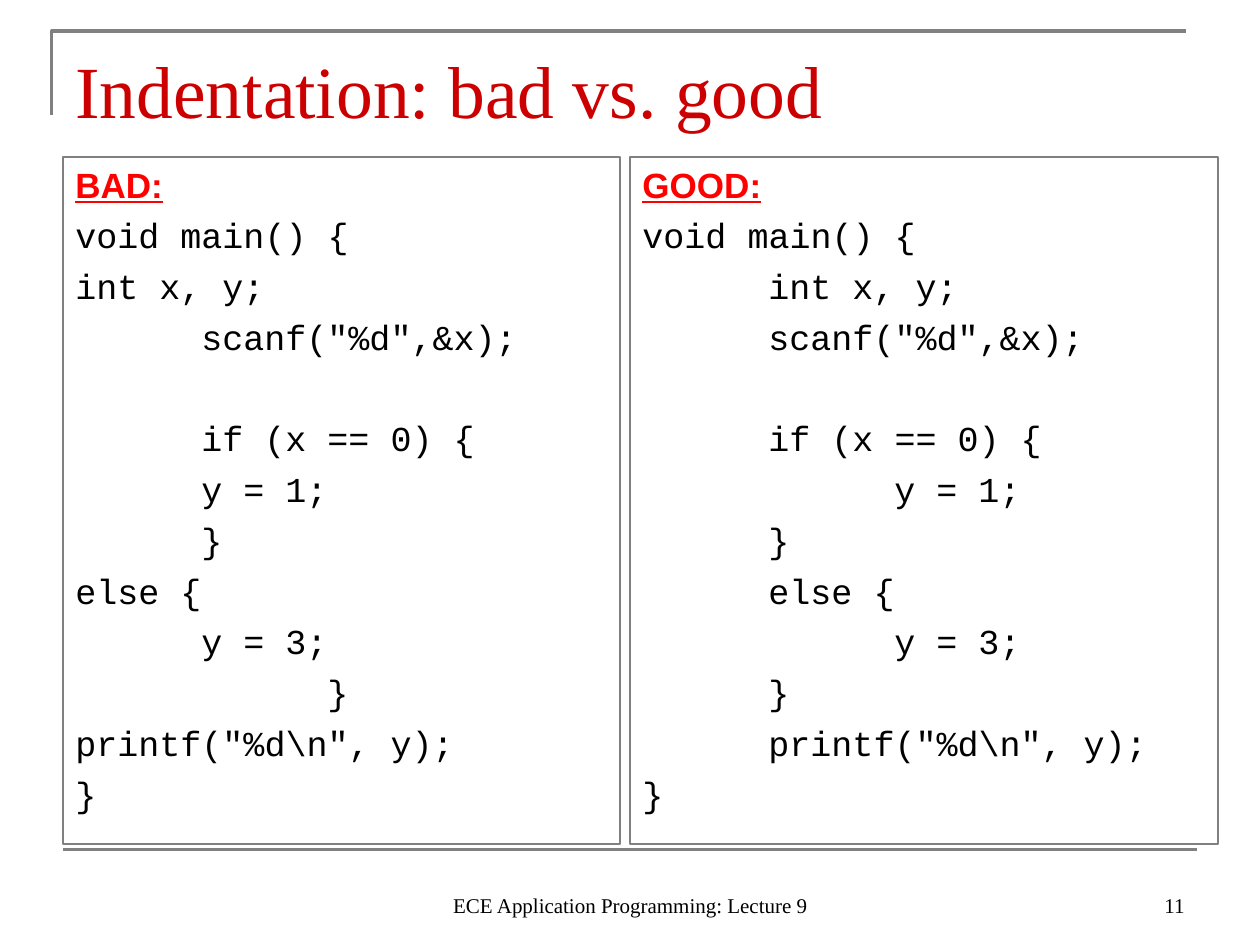
from dataclasses import dataclass

from lxml import etree
from pptx import Presentation
from pptx.dml.color import RGBColor
from pptx.enum.shapes import MSO_CONNECTOR, MSO_SHAPE
from pptx.enum.text import MSO_ANCHOR, PP_ALIGN
from pptx.oxml.ns import qn
from pptx.util import Emu, Pt

LEFT, CENTER, RIGHT = PP_ALIGN.LEFT, PP_ALIGN.CENTER, PP_ALIGN.RIGHT
TOP, BOTTOM = MSO_ANCHOR.TOP, MSO_ANCHOR.BOTTOM
RECTANGLE, STRAIGHT = MSO_SHAPE.RECTANGLE, MSO_CONNECTOR.STRAIGHT

GRAY = RGBColor(0x80, 0x80, 0x80)
DARK_RED = RGBColor(0xCC, 0x00, 0x00)
RED = RGBColor(0xFF, 0x00, 0x00)
BLACK = RGBColor(0x00, 0x00, 0x00)

SERIF, SANS, MONO = "Times New Roman", "Arial", "Courier New"
CODE_SIZE = 20
PIXELS_PER_INCH = 126
TAB_WIDTH, TAB_COUNT = 126, 7


@dataclass
class Label:
    text: str
    left: int
    top: int
    width: int
    height: int
    size: int
    color: RGBColor
    alignment: PP_ALIGN


@dataclass
class CodePanel:
    heading: str
    code: str
    left: int
    width: int


LABELS = [
    Label("Indentation: bad vs. good", 63, 41, 1134, 98, 42, DARK_RED, LEFT),
    Label("ECE Application Programming: Lecture 9", 431, 861, 399, 63, 12, BLACK, CENTER),
    Label("11", 903, 861, 294, 63, 12, BLACK, RIGHT),
]

BAD_CODE = r"""void main() {
int x, y;
	scanf("%d",&x);

	if (x == 0) {
	y = 1;
	}
else {
	y = 3;
		}
printf("%d\n", y);
}"""

GOOD_CODE = r"""void main() {
	int x, y;
	scanf("%d",&x);

	if (x == 0) {
		y = 1;
	}
	else {
		y = 3;
	}
	printf("%d\n", y);
}"""

PANELS = [
    CodePanel("BAD:", BAD_CODE, 63, 557),
    CodePanel("GOOD:", GOOD_CODE, 630, 588),
]
PANEL_TOP, PANEL_HEIGHT = 157, 687


def px(value: int) -> Emu:
    return Emu(round(value * 914400 / PIXELS_PER_INCH))


def style_runs(paragraph, font_name: str, size: int, color: RGBColor) -> None:
    for run in paragraph.runs:
        run.font.name = font_name
        run.font.size = Pt(size)
        run.font.color.rgb = color


def add_tab_stops(paragraph) -> None:
    tab_list = etree.SubElement(paragraph._p.get_or_add_pPr(), qn("a:tabLst"))
    for number in range(1, TAB_COUNT + 1):
        etree.SubElement(tab_list, qn("a:tab"), pos=str(px(number * TAB_WIDTH)), algn="l")


def add_label(slide, label: Label) -> None:
    shape = slide.shapes.add_textbox(
        px(label.left), px(label.top), px(label.width), px(label.height))
    frame = shape.text_frame
    frame.word_wrap = True
    frame.vertical_anchor = BOTTOM
    frame.text = label.text
    paragraph = frame.paragraphs[0]
    paragraph.alignment = label.alignment
    style_runs(paragraph, SERIF, label.size, label.color)


def add_panel(slide, panel: CodePanel) -> None:
    shape = slide.shapes.add_shape(
        RECTANGLE, px(panel.left), px(PANEL_TOP), px(panel.width), px(PANEL_HEIGHT))
    shape.shadow.inherit = False
    shape.fill.background()
    shape.line.color.rgb = GRAY
    shape.line.width = Pt(0.75)
    frame = shape.text_frame
    frame.word_wrap = True
    frame.vertical_anchor = TOP

    heading = frame.paragraphs[0]
    heading.text = panel.heading
    heading.alignment = LEFT
    style_runs(heading, SANS, CODE_SIZE, RED)
    heading.runs[0].font.bold = True
    heading.runs[0].font.underline = True

    for line in panel.code.split("\n"):
        paragraph = frame.add_paragraph()
        paragraph.text = line
        add_tab_stops(paragraph)
        paragraph.alignment = LEFT
        paragraph.space_before = Pt(5)
        style_runs(paragraph, MONO, CODE_SIZE, BLACK)
        if not line:
            # An empty code line takes its height from the end mark
            end_mark = etree.SubElement(paragraph._p, qn("a:endParaRPr"), sz=str(CODE_SIZE * 100))
            etree.SubElement(end_mark, qn("a:latin"), typeface=MONO)


def add_frame_lines(slide) -> None:
    # Corner around the title
    builder = slide.shapes.build_freeform(px(52), px(115))
    builder.add_line_segments([(px(52), px(31)), (px(1186), px(31))], close=False)
    corner = builder.convert_to_shape()
    corner.shadow.inherit = False
    corner.fill.background()

    # Rule above the footer
    rule = slide.shapes.add_connector(STRAIGHT, px(63), px(850), px(1197), px(850))

    for shape in (corner, rule):
        shape.line.color.rgb = GRAY
        shape.line.width = Pt(1.75)
    etree.SubElement(rule._element.spPr, qn("a:effectLst"))


def main() -> None:
    presentation = Presentation()
    presentation.slide_width = px(1260)
    presentation.slide_height = px(945)
    slide = presentation.slides.add_slide(presentation.slide_layouts[6])

    add_frame_lines(slide)
    for panel in PANELS:
        add_panel(slide, panel)
    for label in LABELS:
        add_label(slide, label)

    presentation.save("out.pptx")


if __name__ == "__main__":
    main()
